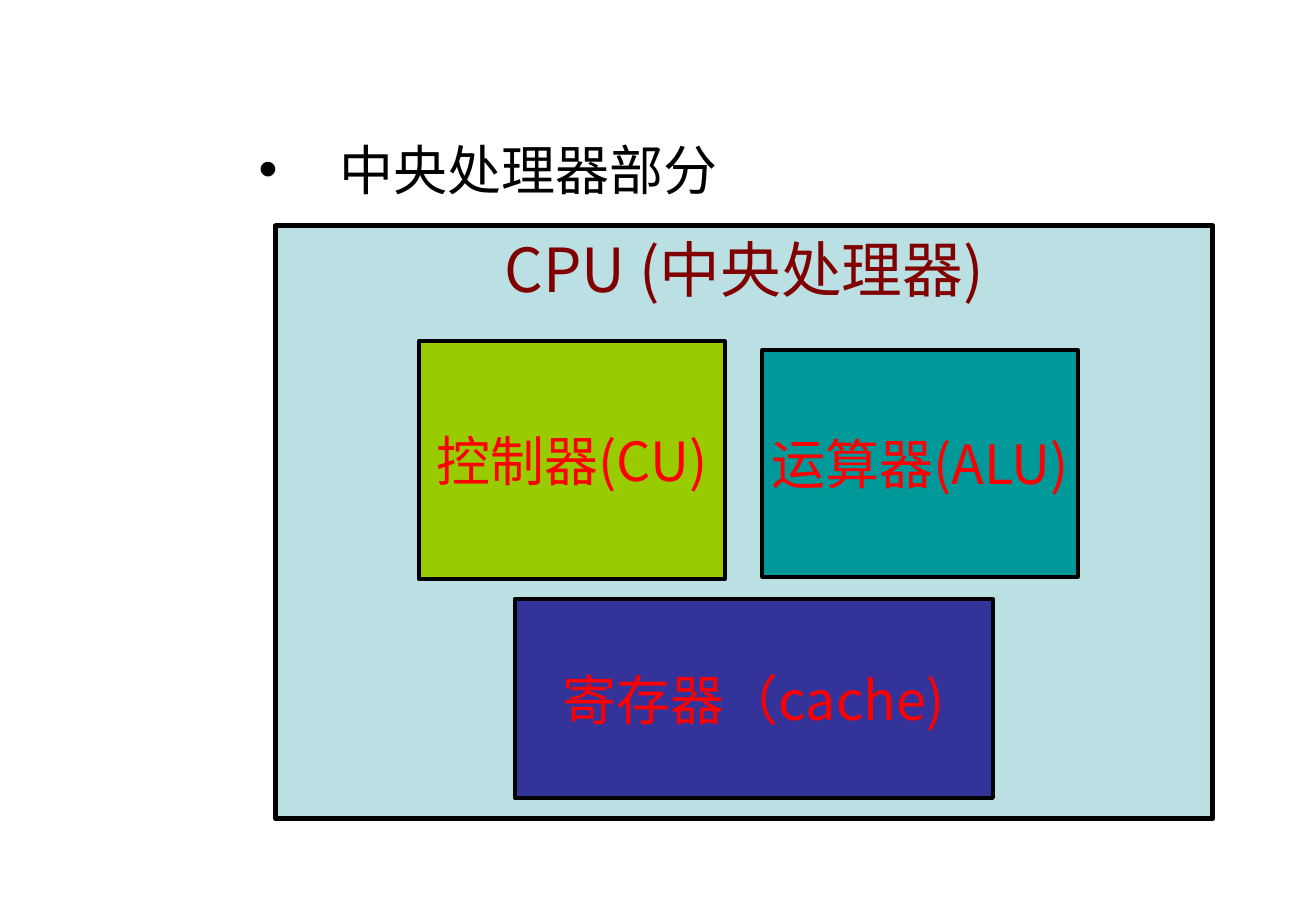
from lxml import etree
from pptx import Presentation
from pptx.dml.color import RGBColor
from pptx.enum.shapes import MSO_SHAPE
from pptx.enum.text import MSO_ANCHOR, PP_ALIGN
from pptx.oxml.ns import qn
from pptx.util import Inches, Pt

RECTANGLE = MSO_SHAPE.RECTANGLE
TOP = MSO_ANCHOR.TOP
MIDDLE = MSO_ANCHOR.MIDDLE
CENTER = PP_ALIGN.CENTER
LEFT = PP_ALIGN.LEFT

BLACK = RGBColor(0x00, 0x00, 0x00)
PALE_BLUE = RGBColor(0xBB, 0xE0, 0xE3)
GREEN = RGBColor(0x99, 0xCC, 0x00)
TEAL = RGBColor(0x00, 0x99, 0x99)
INDIGO = RGBColor(0x33, 0x33, 0x99)
MAROON = RGBColor(0x80, 0x00, 0x00)
RED = RGBColor(0xFF, 0x00, 0x00)

BULLET_FONT = "Arial"
BLOCK_FONT = "Noto Sans CJK SC"

UNITS = [
    ("控制器(CU)", GREEN, (1.18, 0.95, 2.52, 1.96)),
    ("运算器(ALU)", TEAL, (4.01, 1.02, 2.6, 1.87)),
    ("寄存器（cache)", INDIGO, (1.97, 3.07, 3.94, 1.64)),
]


def format_paragraph(paragraph, font_name, size, color, alignment):
    paragraph.alignment = alignment
    paragraph.space_before = Pt(0)
    paragraph.font.name = font_name
    paragraph.font.size = Pt(size)
    paragraph.font.color.rgb = color


def add_bullet(paragraph, indent):
    properties = paragraph._p.get_or_add_pPr()
    properties.set("marL", str(Inches(indent)))
    properties.set("indent", str(-Inches(indent)))
    bullet = etree.SubElement(properties, qn("a:buChar"))
    bullet.set("char", "•")


def fill_heading(slide, left, top, width, height):
    body = slide.placeholders[1]
    body.left, body.top = Inches(left), Inches(top)
    body.width, body.height = Inches(width), Inches(height)
    paragraph = body.text_frame.paragraphs[0]
    paragraph.text = "中央处理器部分"
    add_bullet(paragraph, 0.67)
    format_paragraph(paragraph, BULLET_FONT, 32, BLACK, LEFT)


def add_block(slide, box, text, fill, line_width, size, color, anchor):
    shape = slide.shapes.add_shape(RECTANGLE, *map(Inches, box))
    shape.shadow.inherit = False
    shape.fill.solid()
    shape.fill.fore_color.rgb = fill
    shape.line.color.rgb = BLACK
    shape.line.width = Pt(line_width)
    frame = shape.text_frame
    frame.word_wrap = False
    frame.vertical_anchor = anchor
    paragraph = frame.paragraphs[0]
    paragraph.text = text
    format_paragraph(paragraph, BLOCK_FONT, size, color, CENTER)


def draw_processor(slide, left, top, width, height):
    add_block(slide, (left, top, width, height), "CPU (中央处理器)",
              PALE_BLUE, 3, 36, MAROON, TOP)
    for text, fill, (x, y, unit_width, unit_height) in UNITS:
        box = (left + x, top + y, unit_width, unit_height)
        add_block(slide, box, text, fill, 2.25, 32, RED, MIDDLE)


def main():
    presentation = Presentation()
    presentation.slide_width = Inches(10.84)
    presentation.slide_height = Inches(7.5)
    slide = presentation.slides.add_slide(presentation.slide_layouts[1])
    title = slide.shapes.title.element
    title.getparent().remove(title)
    fill_heading(slide, 2.03, 1.07, 8.42, 5.39)
    draw_processor(slide, 2.27, 1.86, 7.72, 4.88)
    presentation.save("out.pptx")


if __name__ == "__main__":
    main()
